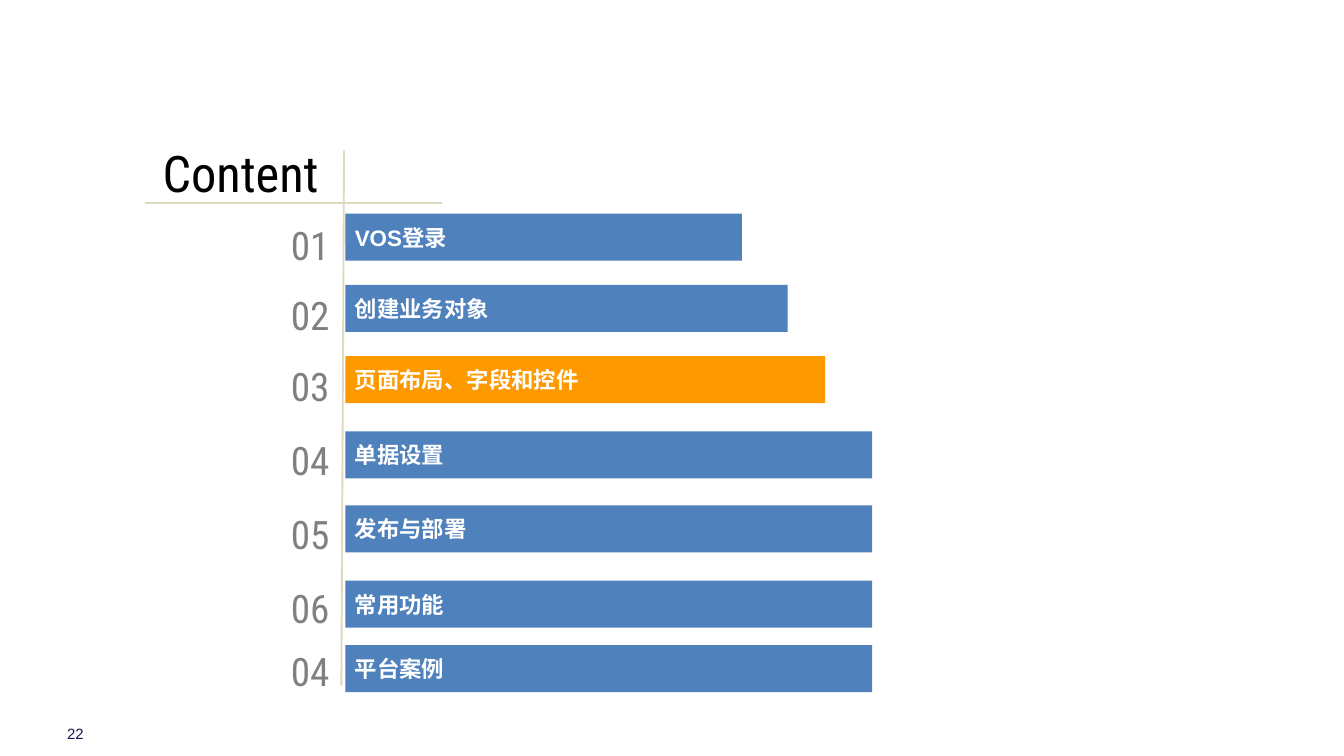
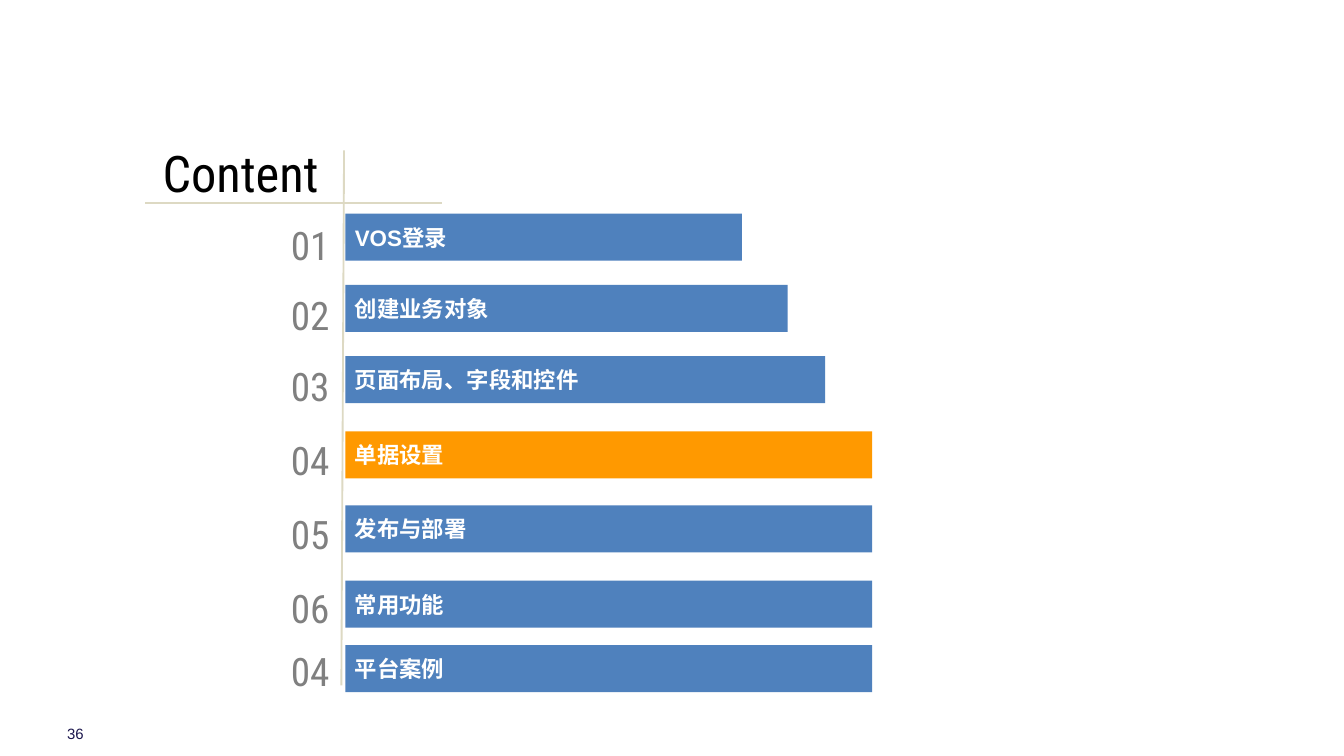
from lxml.etree import SubElement
from pptx import Presentation
from pptx.dml.color import RGBColor
from pptx.enum.shapes import MSO_CONNECTOR, MSO_SHAPE
from pptx.enum.text import MSO_ANCHOR, MSO_AUTO_SIZE, PP_ALIGN
from pptx.oxml.ns import qn
from pptx.util import Inches, Pt

# Shared style
SLIDE_WIDTH = 10
SLIDE_HEIGHT = SLIDE_WIDTH * 9 / 16
BODY_FONT, DISPLAY_FONT = "Arial", "Roboto Condensed"
BLACK, WHITE, GRAY, NAVY = "000000", "FFFFFF", "808080", "1A154C"
BAR_BLUE, ACTIVE_ORANGE, RULE_BEIGE = "4F81BD", "FF9900", "DDD9C3"
BAR_LEFT, BAR_HEIGHT = 2.57, 0.35
NUMBER_LEFT, NUMBER_WIDTH, NUMBER_HEIGHT = 1.97, 0.58, 0.53

# Agenda rows: number, number top, label, bar top, bar width
AGENDA = [
    ("01", 1.53, "VOS登录", 1.59, 2.95),
    ("02", 2.05, "创建业务对象", 2.12, 3.29),
    ("03", 2.58, "页面布局、字段和控件", 2.65, 3.57),
    ("04", 3.13, "单据设置", 3.21, 3.92),
    ("05", 3.68, "发布与部署", 3.76, 3.92),
    ("06", 4.23, "常用功能", 4.32, 3.92),
    ("04", 4.70, "平台案例", 4.80, 3.92),
]

# Page number and label of the highlighted row
SLIDES = [("22", "页面布局、字段和控件"), ("36", "单据设置")]


def color(value):
    return RGBColor.from_string(value)


def box(left, top, width, height):
    return [Inches(length) for length in (left, top, width, height)]


def write(shape, text, font, size, ink, bold=False, align=PP_ALIGN.LEFT,
          anchor=MSO_ANCHOR.TOP, inset=(0.1, 0.05)):
    """Put one formatted paragraph into a shape."""
    frame = shape.text_frame
    frame.word_wrap = True
    frame.auto_size = MSO_AUTO_SIZE.NONE
    frame.vertical_anchor = anchor
    frame.margin_left = frame.margin_right = Inches(inset[0])
    frame.margin_top = frame.margin_bottom = Inches(inset[1])
    paragraph = frame.paragraphs[0]
    paragraph.text = text
    paragraph.alignment = align
    paragraph.font.name = font
    paragraph.font.size = Pt(size)
    paragraph.font.bold = bold
    paragraph.font.color.rgb = color(ink)
    return paragraph


def add_title(slide, text):
    title = slide.shapes.title
    title.left, title.top, title.width, title.height = box(1.11, 1.01, 2.04, 0.44)
    write(title, text, DISPLAY_FONT, 27, BLACK)


def add_page_number(slide, number):
    page_number = slide.shapes.add_textbox(*box(0.5, 5.39, 0.25, 0.14))
    write(page_number, number, BODY_FONT, 8, NAVY,
          anchor=MSO_ANCHOR.MIDDLE, inset=(0, 0))


def add_rule(slide, x1, y1, x2, y2):
    rule = slide.shapes.add_connector(MSO_CONNECTOR.STRAIGHT, *box(x1, y1, x2, y2))
    rule.line.color.rgb = color(RULE_BEIGE)
    rule.line.width = Pt(1)
    SubElement(rule._element.spPr, qn("a:effectLst"))


def add_number(slide, number, top):
    number_box = slide.shapes.add_textbox(
        *box(NUMBER_LEFT, top, NUMBER_WIDTH, NUMBER_HEIGHT))
    paragraph = write(number_box, number, DISPLAY_FONT, 21, GRAY,
                      align=PP_ALIGN.RIGHT)
    paragraph.line_spacing = 1.2


def add_bar(slide, label, top, width, fill):
    bar = slide.shapes.add_shape(
        MSO_SHAPE.RECTANGLE, *box(BAR_LEFT, top, width, BAR_HEIGHT))
    bar.shadow.inherit = False
    bar.fill.solid()
    bar.fill.fore_color.rgb = color(fill)
    bar.line.fill.background()
    write(bar, label, BODY_FONT, 12, WHITE, bold=True,
          anchor=MSO_ANCHOR.MIDDLE, inset=(0.07, 0.04))


def add_agenda_slide(prs, page, active_label):
    slide = prs.slides.add_slide(prs.slide_layouts[5])
    add_page_number(slide, page)
    add_title(slide, "Content")
    # Crossing rules
    add_rule(slide, 2.56, 1.12, 2.54, 5.1)
    add_rule(slide, 1.08, 1.51, 3.29, 1.51)
    # Numbered bars
    for number, number_top, label, bar_top, width in AGENDA:
        fill = ACTIVE_ORANGE if label == active_label else BAR_BLUE
        add_bar(slide, label, bar_top, width, fill)
        add_number(slide, number, number_top)


def main():
    prs = Presentation()
    prs.slide_width, prs.slide_height = Inches(SLIDE_WIDTH), Inches(SLIDE_HEIGHT)
    for page, active_label in SLIDES:
        add_agenda_slide(prs, page, active_label)
    prs.save("out.pptx")


if __name__ == "__main__":
    main()
